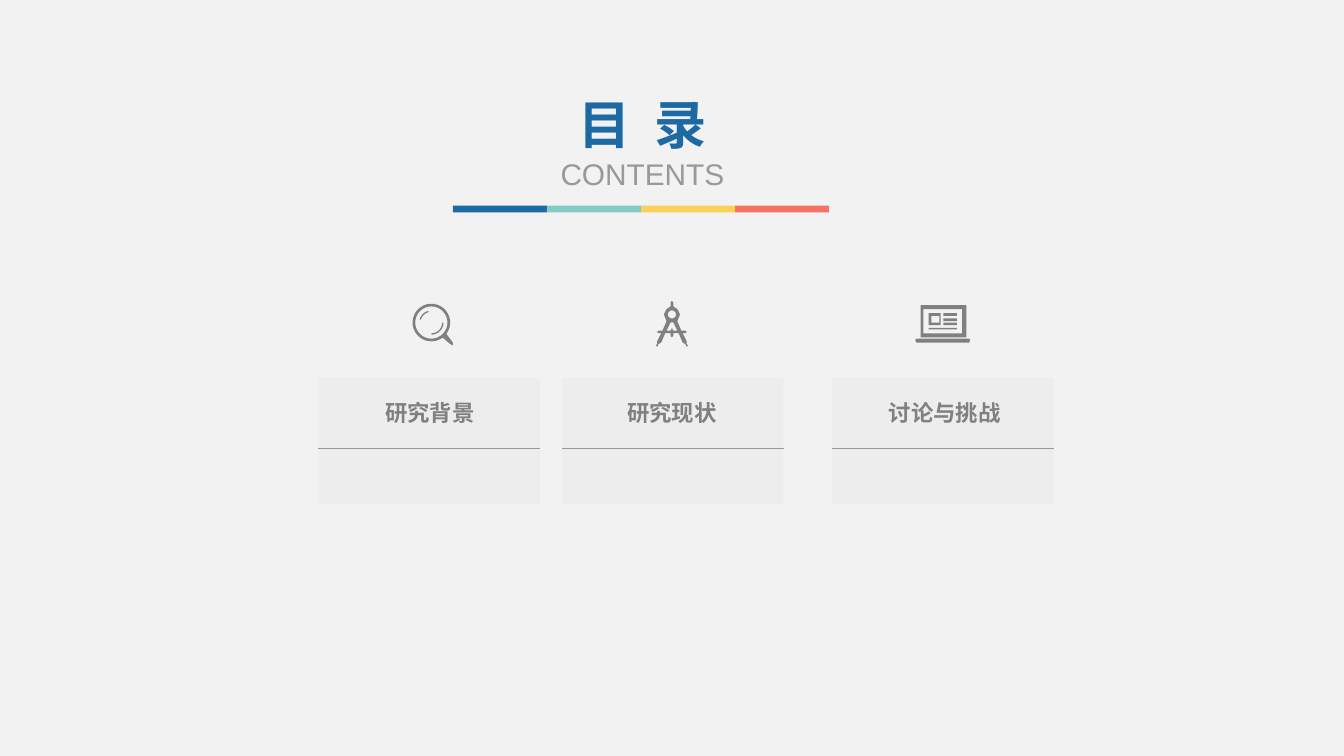
from math import cos, radians, sin

from lxml.etree import SubElement
from pptx import Presentation
from pptx.dml.color import RGBColor
from pptx.enum.shapes import MSO_CONNECTOR, MSO_SHAPE
from pptx.enum.text import MSO_AUTO_SIZE, PP_ALIGN
from pptx.oxml.ns import qn
from pptx.util import Inches, Pt

HEX = {
    "back": "F2F2F2", "blue": "1D69A3", "teal": "84CBC3", "gold": "F8D158",
    "coral": "F57365", "gray": "808080", "pale": "D9D9D9", "rule": "999999",
}


def color(name):
    return RGBColor.from_string(HEX[name])


def paint(shape, name, alpha=None):
    shape.shadow.inherit = False
    shape.fill.solid()
    shape.fill.fore_color.rgb = color(name)
    shape.line.fill.background()
    if alpha is not None:
        tint = shape.fill._xPr.find(qn("a:solidFill"))[0]
        SubElement(tint, qn("a:alpha")).set("val", str(alpha * 1000))


def add_rect(slide, x, y, w, h, name, alpha=None):
    box = slide.shapes.add_shape(
        MSO_SHAPE.RECTANGLE, Inches(x), Inches(y), Inches(w), Inches(h))
    paint(box, name, alpha)


def add_rule(slide, x, y, w):
    rule = slide.shapes.add_connector(
        MSO_CONNECTOR.STRAIGHT, Inches(x), Inches(y), Inches(x + w), Inches(y))
    rule.line.color.rgb = color("rule")
    rule.line.width = Pt(0.5)
    SubElement(rule._element.spPr, qn("a:effectLst"))


def add_text(slide, x, y, w, h, lines, wrap=True):
    box = slide.shapes.add_textbox(Inches(x), Inches(y), Inches(w), Inches(h))
    frame = box.text_frame
    frame.word_wrap = wrap
    frame.auto_size = MSO_AUTO_SIZE.SHAPE_TO_FIT_TEXT
    for i, (text, size, font, name, bold) in enumerate(lines):
        para = frame.add_paragraph() if i else frame.paragraphs[0]
        para.alignment = PP_ALIGN.CENTER
        run = para.add_run()
        run.text = text
        run.font.size = Pt(size)
        run.font.name = font
        run.font.bold = bold
        run.font.color.rgb = color(name)


def add_icon(slide, loops):
    first, *rest = [[(Inches(x), Inches(y)) for x, y in loop] for loop in loops]
    pen = slide.shapes.build_freeform(*first[0])
    pen.add_line_segments(first[1:])
    for loop in rest:
        pen.move_to(*loop[0])
        pen.add_line_segments(loop[1:])
    paint(pen.convert_to_shape(), "gray")


def arc(x, y, r, start=0, end=360, steps=32):
    turns = [radians(start + (end - start) * i / steps) for i in range(steps + 1)]
    return [(x + r * cos(t), y + r * sin(t)) for t in turns]


def band(x, y, outer, inner, start, end):
    return arc(x, y, outer, start, end) + arc(x, y, inner, end, start)


def mirror(x, half):
    right = [(x + dx, y) for dx, y in half]
    left = [(x - dx, y) for dx, y in reversed(half)]
    return right + left


def block(x1, y1, x2, y2):
    return [(x1, y1), (x2, y1), (x2, y2), (x1, y2), (x1, y1)]


def add_lens(slide):
    x, y = 3.21, 2.4
    grip = [(3.37, 2.55), (3.37, 2.57), (3.35, 2.56)]
    rim = arc(x, y, 0.14, 53, 397) + grip
    add_icon(slide, [
        rim + rim[:1],
        arc(x, y, 0.12),
        band(x, y, 0.09, 0.08, 195, 255),
        band(x, y, 0.09, 0.08, 0, 90),
    ])


def add_compass(slide):
    x = 5
    body = [
        (0, 2.24), (0.01, 2.25), (0.01, 2.28), (0.04, 2.3), (0.06, 2.34),
        (0.04, 2.39), (0.07, 2.46), (0.1, 2.46), (0.11, 2.47), (0.1, 2.48),
        (0.08, 2.48), (0.11, 2.54), (0.11, 2.56), (0.12, 2.57), (0.11, 2.58),
        (0.1, 2.56), (0.08, 2.55), (0.05, 2.48), (0.01, 2.48), (0.01, 2.5),
        (0, 2.51),
    ]
    gap = [(0, 2.4), (0.01, 2.4), (0.04, 2.46), (0.01, 2.46), (0, 2.44)]
    add_icon(slide, [mirror(x, body), arc(x, 2.34, 0.03), mirror(x, gap)])


def add_laptop(slide):
    rows = [block(7.02, y, 7.12, y + 0.02) for y in (2.33, 2.37, 2.4)]
    base = [(6.82, 2.52), (7.21, 2.52), (7.22, 2.53), (7.21, 2.55),
            (6.82, 2.55), (6.81, 2.53), (6.82, 2.52)]
    add_icon(slide, [
        block(6.85, 2.27, 7.19, 2.51), block(6.87, 2.3, 7.16, 2.48),
        block(6.91, 2.33, 7, 2.42), block(6.93, 2.35, 6.99, 2.4),
        block(6.91, 2.44, 7.12, 2.45), *rows, base,
    ])


def add_card(slide, x, title, left, width):
    add_rect(slide, x, 2.81, 1.65, 0.94, "pale", 20)
    add_rule(slide, x, 3.34, 1.65)
    add_text(slide, left, 2.92, width, 0.3,
             [(title, 12, "Arial Narrow", "gray", True)], wrap=False)


def main():
    deck = Presentation()
    deck.slide_width = Inches(10)
    deck.slide_height = Inches(10) * 9 // 16
    slide = deck.slides.add_slide(deck.slide_layouts[6])
    slide.background.fill.solid()
    slide.background.fill.fore_color.rgb = color("back")

    for i, name in enumerate(("blue", "teal", "gold", "coral")):
        add_rect(slide, 3.37 + 0.7 * i, 1.53, 0.7, 0.05, name)
    add_text(slide, 3.97, 0.64, 1.62, 0.84, [
        ("目  录", 28, "Arial Narrow", "blue", True),
        ("CONTENTS", 16, "Arial", "rule", False),
    ])

    add_lens(slide)
    add_compass(slide)
    add_laptop(slide)
    add_card(slide, 2.37, "研究背景", 2.76, 0.88)
    add_card(slide, 4.18, "研究现状", 4.56, 0.88)
    add_card(slide, 6.19, "讨论与挑战", 6.51, 1.04)
    deck.save("out.pptx")


if __name__ == "__main__":
    main()
